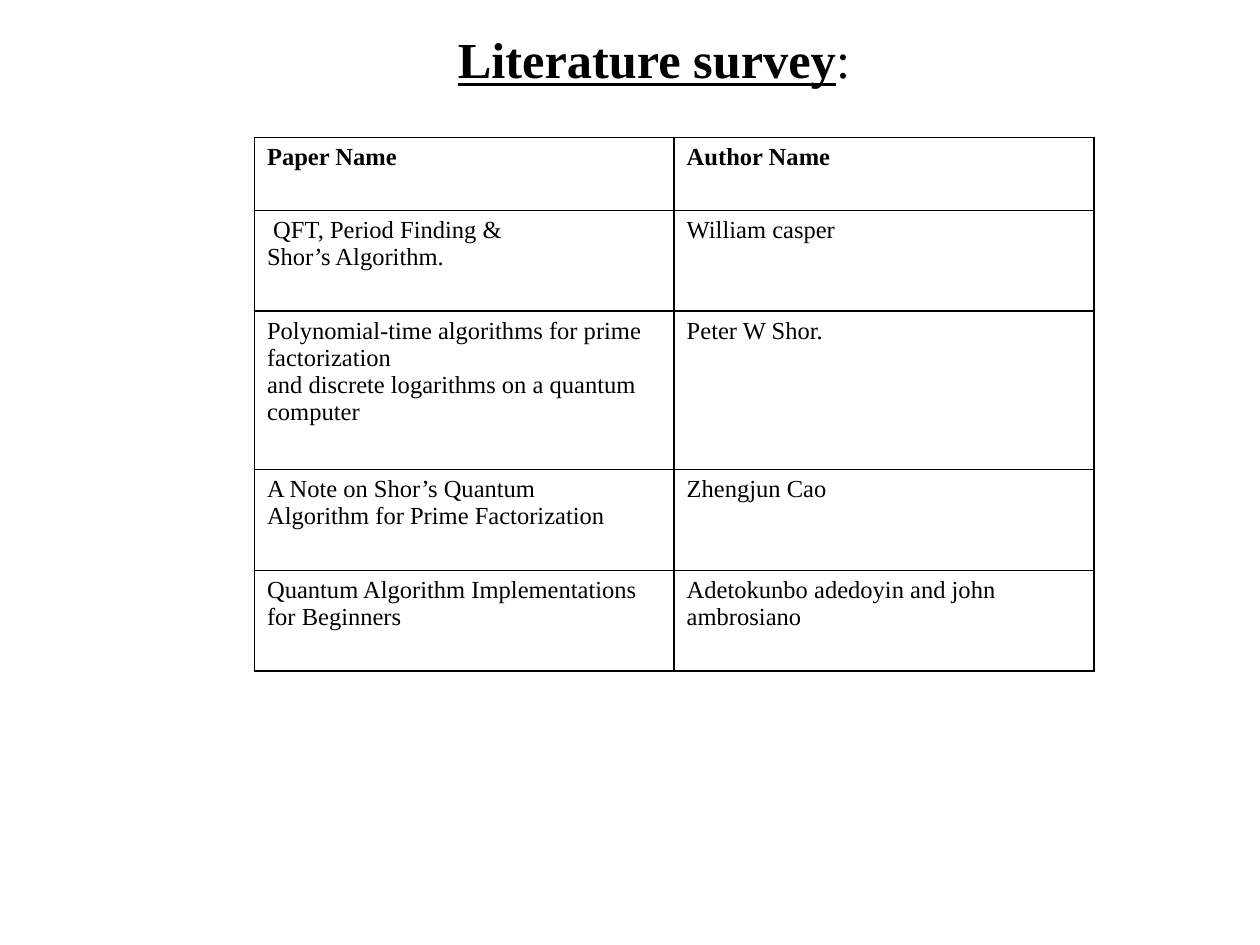
from lxml.etree import SubElement
from pptx import Presentation
from pptx.dml.color import RGBColor
from pptx.enum.text import MSO_ANCHOR, MSO_AUTO_SIZE, PP_ALIGN
from pptx.oxml.ns import qn
from pptx.util import Cm, Pt

BLACK = RGBColor(0x00, 0x00, 0x00)
WHITE = RGBColor(0xFF, 0xFF, 0xFF)
FONT = "Times New Roman"
PAPERS = [
    ("Paper Name", "Author Name"),
    (" QFT, Period Finding &\nShor’s Algorithm.", "William casper"),
    ("Polynomial-time algorithms for prime factorization\n"
     "and discrete logarithms on a quantum computer", "Peter W Shor."),
    ("A Note on Shor’s Quantum\nAlgorithm for Prime Factorization", "Zhengjun Cao"),
    ("Quantum Algorithm Implementations for Beginners",
     "Adetokunbo adedoyin and john ambrosiano"),
]
ROW_HEIGHTS = [1.47, 2.03, 3.2, 2.03, 2.03]
COLUMN_WIDTH = 8.46


def add_run(paragraph, text, size, bold=False, underline=False):
    """Append one formatted run to a paragraph."""
    run = paragraph.add_run()
    run.text = text
    run.font.name = FONT
    run.font.size = Pt(size)
    run.font.bold = bold
    run.font.underline = underline
    run.font.color.rgb = BLACK


def add_heading(slide):
    """Move the title placeholder and write the heading."""
    heading = slide.shapes.title
    heading.left, heading.top = Cm(0.18), Cm(0.53)
    heading.width, heading.height = Cm(25.5), Cm(1.98)
    frame = heading.text_frame
    frame.word_wrap = True
    frame.auto_size = MSO_AUTO_SIZE.NONE
    frame.vertical_anchor = MSO_ANCHOR.TOP
    frame.margin_left, frame.margin_right = Cm(0.76), Cm(0.25)
    frame.margin_top = frame.margin_bottom = Cm(0.18)
    line = frame.paragraphs[0]
    line.alignment = PP_ALIGN.CENTER
    line.line_spacing = 0.9
    add_run(line, "Literature survey", 28.8, bold=True, underline=True)
    add_run(line, ":", 28.8)


def set_borders(cell):
    """Draw a thin black line on each side of a cell."""
    properties = cell._tc.get_or_add_tcPr()
    for position, side in enumerate(("lnL", "lnR", "lnT", "lnB")):
        border = SubElement(properties, qn(f"a:{side}"), w=str(Pt(1)))
        solid = SubElement(border, qn("a:solidFill"))
        SubElement(solid, qn("a:srgbClr"), val=str(BLACK))
        properties.insert(position, border)


def fill_cell(cell, text, bold):
    """Write a cell's lines and give it a plain bordered look."""
    cell.fill.solid()
    cell.fill.fore_color.rgb = WHITE
    set_borders(cell)
    paragraph = cell.text_frame.paragraphs[0]
    for number, line in enumerate(text.split("\n")):
        if number:
            paragraph.add_line_break()
        add_run(paragraph, line, 14, bold)


def add_survey(slide):
    """Add the table of papers and authors."""
    survey = slide.shapes.add_table(
        len(PAPERS), 2, Cm(5.13), Cm(2.77),
        Cm(2 * COLUMN_WIDTH), Cm(sum(ROW_HEIGHTS))).table
    survey.first_row = survey.horz_banding = False
    for column in survey.columns:
        column.width = Cm(COLUMN_WIDTH)
    for index, (paper, height) in enumerate(zip(PAPERS, ROW_HEIGHTS)):
        survey.rows[index].height = Cm(height)
        for cell, text in zip(survey.rows[index].cells, paper):
            fill_cell(cell, text, bold=index == 0)


def main():
    """Build the literature survey slide."""
    deck = Presentation()
    deck.slide_width, deck.slide_height = Cm(25.4), Cm(19.05)
    slide = deck.slides.add_slide(deck.slide_layouts[0])
    subtitle = slide.placeholders[1].element
    subtitle.getparent().remove(subtitle)
    add_heading(slide)
    add_survey(slide)
    deck.save("out.pptx")


if __name__ == "__main__":
    main()
